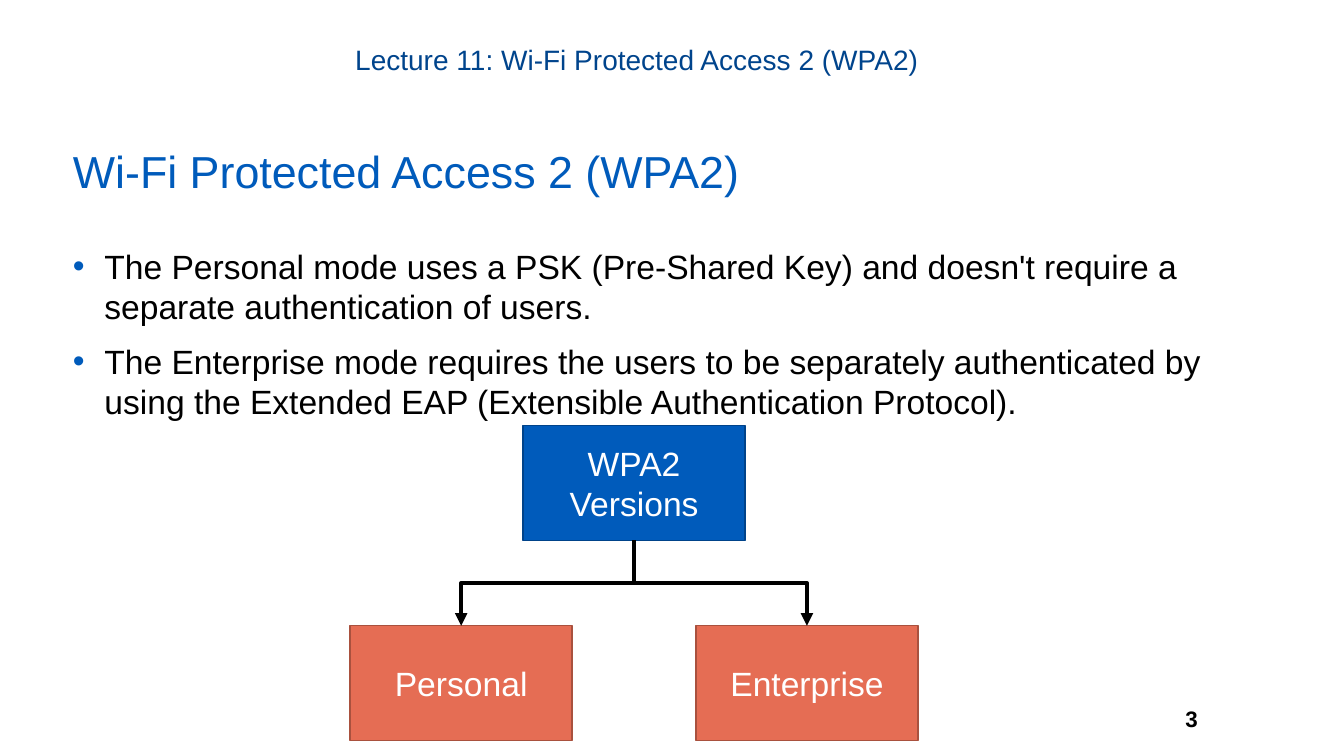
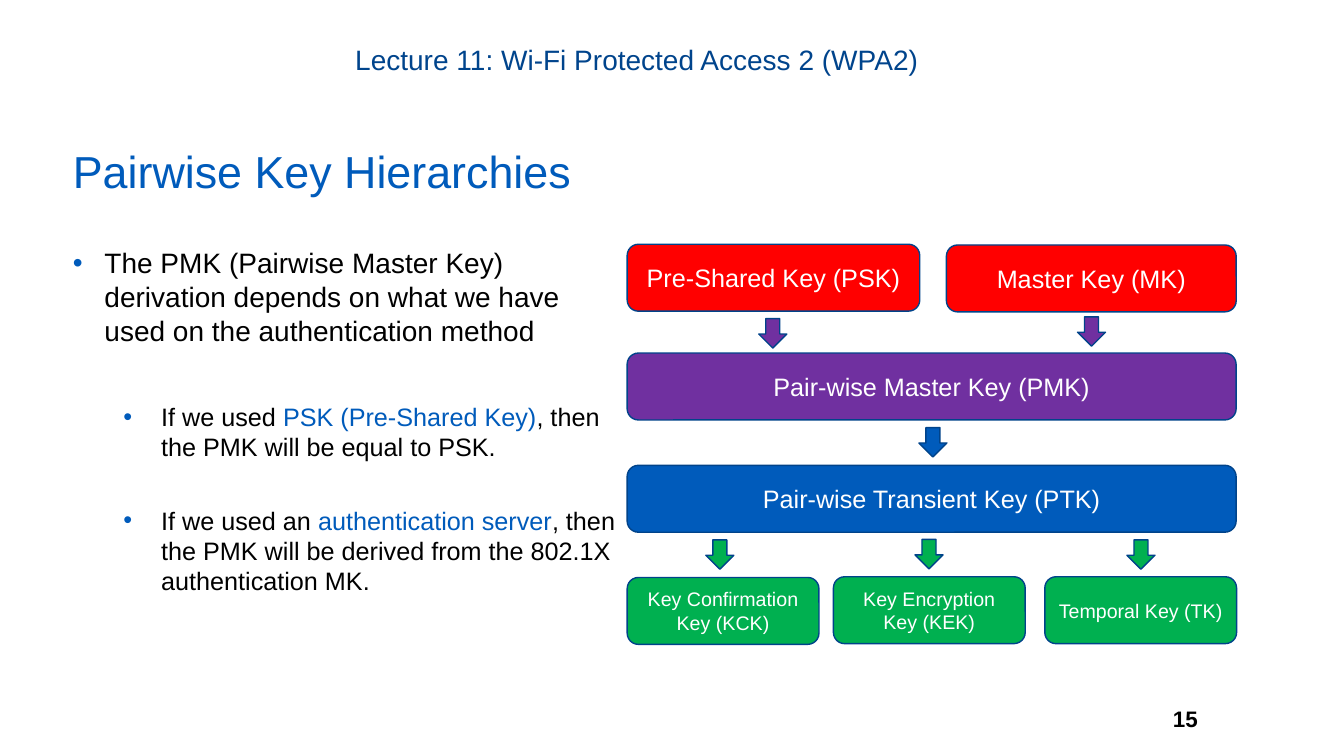
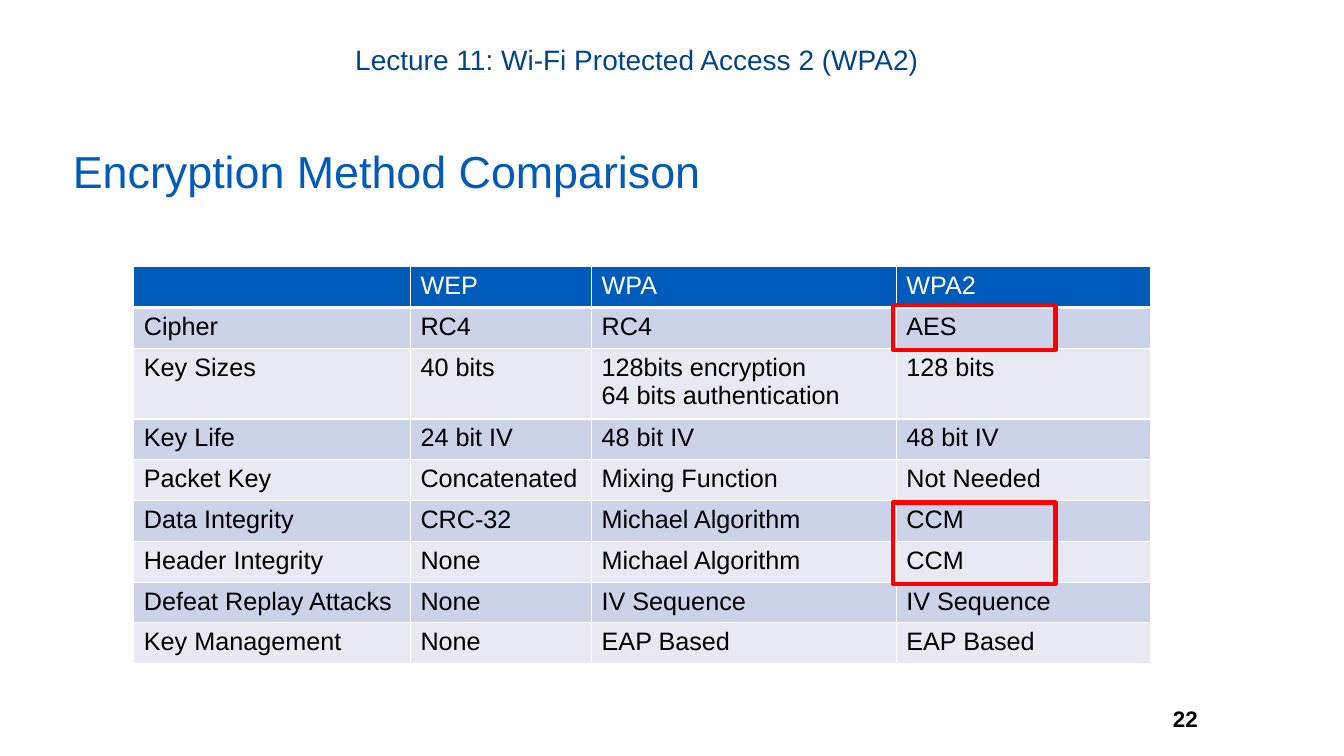
from lxml import etree
from pptx import Presentation
from pptx.dml.color import RGBColor
from pptx.enum.shapes import MSO_CONNECTOR, MSO_SHAPE
from pptx.enum.text import MSO_ANCHOR, PP_ALIGN
from pptx.oxml.ns import qn
from pptx.util import Pt

RECT, ROUND, DOWN = MSO_SHAPE.RECTANGLE, MSO_SHAPE.ROUNDED_RECTANGLE, MSO_SHAPE.DOWN_ARROW
ELBOW = MSO_CONNECTOR.ELBOW
TOP, MIDDLE = MSO_ANCHOR.TOP, MSO_ANCHOR.MIDDLE
LEFT, CENTER, RIGHT = PP_ALIGN.LEFT, PP_ALIGN.CENTER, PP_ALIGN.RIGHT

THEME = {
    "font": "Arial",
    "blue": "005BBB", "edge": "00438A", "lecture": "00448C",
    "coral": "E56D54", "coral_edge": "A9513E",
    "red": "FF0000", "purple": "7030A0", "green": "00B050",
    "band": "CCD2E7", "pale": "E7EAF3", "black": "000000", "white": "FFFFFF",
    "title": 32, "body": 24, "lead": 20, "text": 18, "number": 16, "small": 14,
}


def write(tf, paras, size, color="black", align=LEFT, anchor=TOP, margins=None):
    """Fill a text frame; a paragraph is a dict with runs of (text, colour)."""
    tf.word_wrap = True
    tf.vertical_anchor = anchor
    for side, value in (margins or {}).items():
        setattr(tf, "margin_" + side, Pt(value))
    for i, para in enumerate(paras):
        p = tf.paragraphs[0] if i == 0 else tf.add_paragraph()
        for name, value in {"alignment": align, **para.get("format", {})}.items():
            setattr(p, name, value)
        if "indent" in para:
            left, hang = para["indent"]
            pPr = p._p.get_or_add_pPr()
            pPr.set("marL", str(Pt(left)))
            pPr.set("indent", str(Pt(-hang)))
            clr = etree.SubElement(pPr, qn("a:buClr"))
            etree.SubElement(clr, qn("a:srgbClr"), val=THEME["blue"])
            etree.SubElement(pPr, qn("a:buFont"), typeface=THEME["font"])
            etree.SubElement(pPr, qn("a:buChar"), char="•")
        for text, run_color in para["runs"]:
            r = p.add_run()
            r.text = text
            font = {"name": THEME["font"], "size": Pt(para.get("size", size)),
                    "bold": para.get("bold", False)}
            for name, value in font.items():
                setattr(r.font, name, value)
            r.font.color.rgb = RGBColor.from_string(THEME[run_color or color])


def shape(s, kind, at, fill, line="edge", text=None, size=None, width=1):
    sp = s.shapes.add_shape(kind, *map(Pt, at))
    sp.shadow.inherit = False
    if fill:
        sp.fill.solid()
        sp.fill.fore_color.rgb = RGBColor.from_string(THEME[fill])
    else:
        sp.fill.background()
    sp.line.color.rgb = RGBColor.from_string(THEME[line])
    sp.line.width = Pt(width)
    if text:
        write(sp.text_frame, [{"runs": [(text, None)]}], size, "white", CENTER, MIDDLE)
    return sp


prs = Presentation()
prs.slide_width, prs.slide_height = Pt(960), Pt(540)

# Bullet levels
main = {"indent": (22.5, 22.5)}
sub = {"indent": (63, 27), "size": THEME["text"]}

# Shared frame: number, lecture line, title and body
pages = [
    ("3", "Wi-Fi Protected Access 2 (WPA2)", 828, THEME["body"], [
        {**main, "runs": [("The Personal mode uses a PSK (Pre-Shared Key) and doesn't "
                           "require a separate authentication of users.", None)]},
        {**main, "format": {"space_before": Pt(10)},
         "runs": [("The Enterprise mode requires the users to be separately authenticated "
                   "by using the Extended EAP (Extensible Authentication Protocol).", None)]},
    ]),
    ("15", "Pairwise Key Hierarchies", 403, THEME["lead"], [
        {**main, "runs": [("The PMK (Pairwise Master Key) derivation depends on what we "
                           "have used on the authentication method", None)]},
        {**sub, "format": {"space_before": Pt(39)},
         "runs": [("If we used ", None), ("PSK (Pre-Shared Key)", "blue"),
                  (", then the PMK will be equal to PSK.", None)]},
        {**sub, "format": {"space_before": Pt(31)},
         "runs": [("If we used an ", None), ("authentication server", "blue"),
                  (", then the PMK will be derived from the 802.1X authentication MK.", None)]},
    ]),
    ("22", "Encryption Method Comparison", 0, 0, []),
]
slides = []
for number, title, body_width, body_size, body in pages:
    s = prs.slides.add_slide(prs.slide_layouts[6])
    slides.append(s)
    tf = s.shapes.add_textbox(Pt(808), Pt(492), Pt(57), Pt(42)).text_frame
    write(tf, [{"runs": [(number, None)], "bold": True}], THEME["number"], "black", RIGHT,
          MIDDLE, {"left": 9.4, "right": 9.4, "top": 5, "bottom": 5})
    tf = s.shapes.add_textbox(Pt(197), Pt(26.6), Pt(523), Pt(26.6)).text_frame
    write(tf, [{"runs": [("Lecture 11: Wi-Fi Protected Access 2 (WPA2)", None)]}],
          THEME["lead"], "lecture", CENTER, TOP, {"left": 0})
    tf = s.shapes.add_textbox(Pt(45), Pt(103.7), Pt(828), Pt(68)).text_frame
    write(tf, [{"runs": [(title, None)], "format": {"line_spacing": 0.9}}],
          THEME["title"], "blue")
    if body:
        tf = s.shapes.add_textbox(Pt(45), Pt(172), Pt(body_width), Pt(303)).text_frame
        write(tf, body, body_size)

# Slide 1: version tree
s = slides[0]
box_w, box_h, root_x, root_y, child_y = 158.6, 82, 373.6, 304, 447
root = shape(s, RECT, (root_x, root_y, box_w, box_h), "blue", "edge",
             "WPA2 Versions", THEME["body"])
mid_x, mid_y = root_x + box_w / 2, (root_y + box_h + child_y) / 2
drop, reach = child_y - root_y - box_h, 123.5
for side, label, turn in ((-1, "Personal", 90), (1, "Enterprise", 270)):
    child = shape(s, RECT, (root_x + side * reach, child_y, box_w, box_h),
                  "coral", "coral_edge", label, THEME["body"])
    cn = s.shapes.add_connector(ELBOW, 0, 0, 0, 0)
    cn.begin_connect(root, 2)
    cn.end_connect(child, 0)
    # An elbow that leaves downwards is a turned one
    place = {"left": mid_x + side * reach / 2 - drop / 2, "top": mid_y - reach / 2,
             "width": drop, "height": reach}
    for name, value in place.items():
        setattr(cn, name, Pt(value))
    spPr = cn._element.spPr
    xfrm = spPr.find(qn("a:xfrm"))
    xfrm.set("rot", str(turn * 60000))
    xfrm.set("flipH", "1" if side > 0 else "0")
    cn.line.color.rgb = RGBColor.from_string(THEME["black"])
    cn.line.width = Pt(3)
    etree.SubElement(spPr.find(qn("a:ln")), qn("a:tailEnd"), type="triangle")
    etree.SubElement(spPr, qn("a:effectLst"))

# Slide 2: key hierarchy
s = slides[1]
key_h = 47.8
keys = [
    (448, 174.5, 209, "red", "Pre-Shared Key (PSK)", "text"),
    (676, 175, 207, "red", "Master Key (MK)", "text"),
    (448, 252.2, 435, "purple", "Pair-wise Master Key (PMK)", "text"),
    (448, 332.4, 435, "blue", "Pair-wise Transient Key (PTK)", "text"),
    (448, 412.5, 137, "green", "Key Confirmation Key (KCK)", "small"),
    (595.3, 412, 137, "green", "Key Encryption Key (KEK)", "small"),
    (746.3, 412, 137, "green", "Temporal Key (TK)", "small"),
]
for x, y, w, fill, label, size in keys:
    shape(s, ROUND, (x, y, w, key_h), fill, "edge", label, THEME[size])
for x, y, fill in ((542, 227.6, "purple"), (769.7, 226.3, "purple"), (656.4, 305.4, "blue"),
                   (504.2, 385.6, "green"), (653.6, 385.3, "green"), (805, 385.6, "green")):
    shape(s, DOWN, (x, y, 20, 21), fill)

# Slide 3: comparison table
s = slides[2]
rows = [
    ("", "WEP", "WPA", "WPA2"),
    ("Cipher", "RC4", "RC4", "AES"),
    ("Key Sizes", "40 bits", "128bits encryption\n64 bits authentication", "128 bits"),
    ("Key Life", "24 bit IV", "48 bit IV", "48 bit IV"),
    ("Packet Key", "Concatenated", "Mixing Function", "Not Needed"),
    ("Data Integrity", "CRC-32", "Michael Algorithm", "CCM"),
    ("Header Integrity", "None", "Michael Algorithm", "CCM"),
    ("Defeat Replay Attacks", "None", "IV Sequence", "IV Sequence"),
    ("Key Management", "None", "EAP Based", "EAP Based"),
]
col_widths = (197.6, 129.4, 217.7, 181.3)
row_heights = [29.2, 29.2, 47] + [29.2] * 4 + [27] * 2
table = s.shapes.add_table(len(rows), len(col_widths), Pt(95.6), Pt(190.4),
                           Pt(sum(col_widths)), Pt(sum(row_heights))).table
for col, w in zip(table.columns, col_widths):
    col.width = Pt(w)
for i, (row, h) in enumerate(zip(rows, row_heights)):
    table.rows[i].height = Pt(h)
    fill = "blue" if i == 0 else ("pale", "band")[i % 2]
    for j, text in enumerate(row):
        cell = table.cell(i, j)
        write(cell.text_frame, [{"runs": [(line, None)]} for line in text.split("\n") if line],
              THEME["text"], "white" if i == 0 else "black")
        tcPr = cell._tc.get_or_add_tcPr()
        for edge in ("lnL", "lnR", "lnT", "lnB"):
            heavy = (i == 0 and edge == "lnB") or (i == 1 and edge == "lnT")
            ln = etree.SubElement(tcPr, qn("a:" + edge), w=str(Pt(3 if heavy else 1)))
            solid = etree.SubElement(ln, qn("a:solidFill"))
            etree.SubElement(solid, qn("a:srgbClr"), val=THEME["white"])
        cell.fill.solid()
        cell.fill.fore_color.rgb = RGBColor.from_string(THEME[fill])

# Red frames around the stronger methods
for y, h in ((218, 32), (359, 58)):
    shape(s, RECT, (638, y, 116, h), None, "red", width=3)

prs.save("out.pptx")
